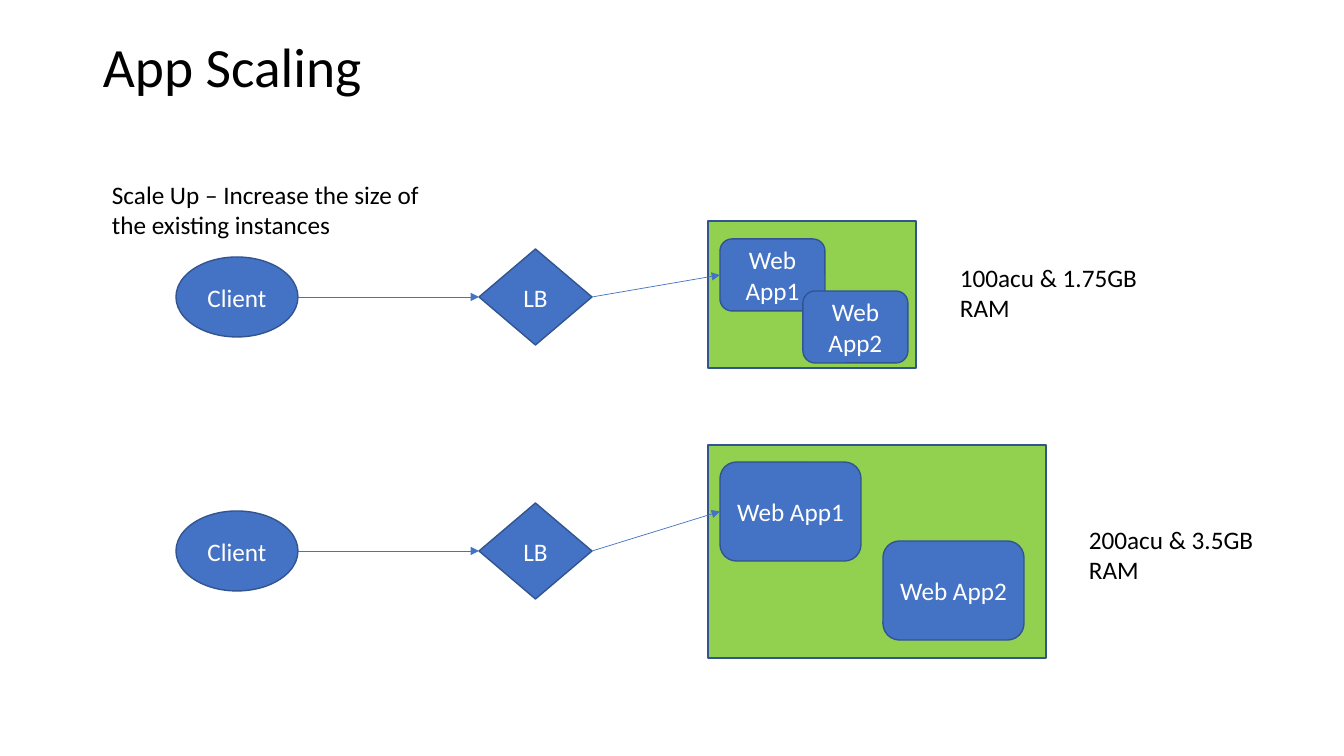
from dataclasses import dataclass

from lxml import etree
from pptx import Presentation
from pptx import util as u
from pptx.dml.color import RGBColor
from pptx.enum import shapes, text
from pptx.oxml import ns


@dataclass(frozen=True)
class Theme:
    font: str = "Calibri"
    ink: str = "000000"
    light: str = "FFFFFF"
    node: str = "4472C4"
    edge: str = "325491"
    plan: str = "92D050"
    title_size: float = 39.6
    body_size: float = 18
    edge_width: float = 1
    arrow_width: float = 0.5


def px(length):
    return u.Emu(round(length * 914400 / 100.8))


class Board:
    def __init__(self, slide, theme):
        self.slide = slide
        self.theme = theme

    def add_wording(self, frame, wording, size, color):
        frame.word_wrap = True
        paragraph = frame.paragraphs[0]
        run = paragraph.add_run()
        run.text = wording
        run.font.name = self.theme.font
        run.font.size = u.Pt(size)
        run.font.color.rgb = RGBColor.from_string(color)
        return paragraph

    def box(self, preset, bounds, fill):
        shape = self.slide.shapes.add_shape(preset, *map(px, bounds))
        shape.shadow.inherit = False
        shape.fill.solid()
        shape.fill.fore_color.rgb = RGBColor.from_string(fill)
        shape.line.color.rgb = RGBColor.from_string(self.theme.edge)
        shape.line.width = u.Pt(self.theme.edge_width)
        return shape

    def node(self, preset, bounds, wording):
        shape = self.box(preset, bounds, self.theme.node)
        frame = shape.text_frame
        frame.vertical_anchor = text.MSO_ANCHOR.MIDDLE
        paragraph = self.add_wording(frame, wording, self.theme.body_size, self.theme.light)
        paragraph.alignment = text.PP_ALIGN.CENTER
        return shape

    def note(self, bounds, wording):
        frame = self.slide.shapes.add_textbox(*map(px, bounds)).text_frame
        self.add_wording(frame, wording, self.theme.body_size, self.theme.ink)

    def title(self, bounds, wording):
        frame = self.slide.shapes.add_textbox(*map(px, bounds)).text_frame
        frame.vertical_anchor = text.MSO_ANCHOR.MIDDLE
        paragraph = self.add_wording(frame, wording, self.theme.title_size, self.theme.ink)
        paragraph.line_spacing = 0.9

    def arrow(self, source, target):
        arrow = self.slide.shapes.add_connector(
            shapes.MSO_CONNECTOR.STRAIGHT,
            source.left + source.width, source.top + source.height // 2,
            target.left, target.top + target.height // 2)
        arrow.end_connect(target, 1)
        arrow.line.color.rgb = RGBColor.from_string(self.theme.node)
        arrow.line.width = u.Pt(self.theme.arrow_width)
        outline = arrow._element.spPr.find(ns.qn("a:ln"))
        etree.SubElement(outline, ns.qn("a:tailEnd"), type="triangle")
        etree.SubElement(arrow._element.spPr, ns.qn("a:effectLst"))

    def scenario(self, middle, plan, app_size, app_corners, capacity, capacity_corner):
        preset = shapes.MSO_SHAPE
        self.box(preset.RECTANGLE, plan, self.theme.plan)
        client = self.node(preset.OVAL, (176, middle - 40, 122, 80), "Client")
        balancer = self.node(preset.DIAMOND, (479, middle - 48, 113, 96), "LB")
        apps = [self.node(preset.ROUNDED_RECTANGLE, (*corner, *app_size), f"Web App{number}")
                for number, corner in enumerate(app_corners, 1)]
        self.arrow(client, balancer)
        self.arrow(balancer, apps[0])
        self.note((*capacity_corner, 226, 72), capacity)


deck = Presentation()
deck.slide_width, deck.slide_height = px(1344), px(756)
board = Board(deck.slides.add_slide(deck.slide_layouts[6]), Theme())

board.title((93, 40, 1159, 60), "App Scaling")
board.note((102, 174, 333, 72), "Scale Up – Increase the size of the existing instances")
board.scenario(297, (708, 221, 208, 147), (105, 72), [(720, 239), (803, 291)],
               "100acu & 1.75GB RAM", (950, 257))
board.scenario(551, (708, 445, 338, 213), (141, 99), [(720, 462), (883, 541)],
               "200acu & 3.5GB RAM", (1079, 519))

deck.save("out.pptx")
